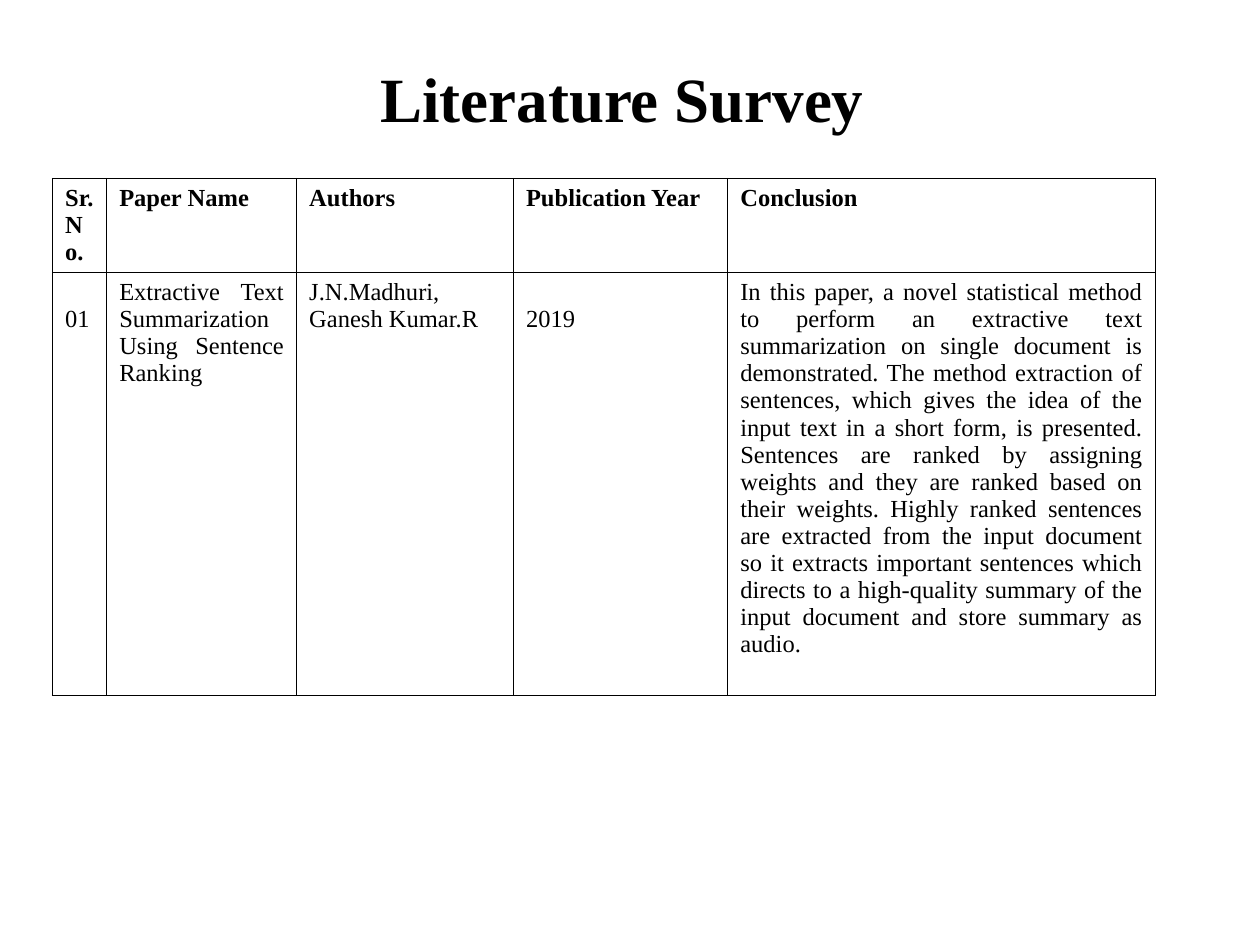
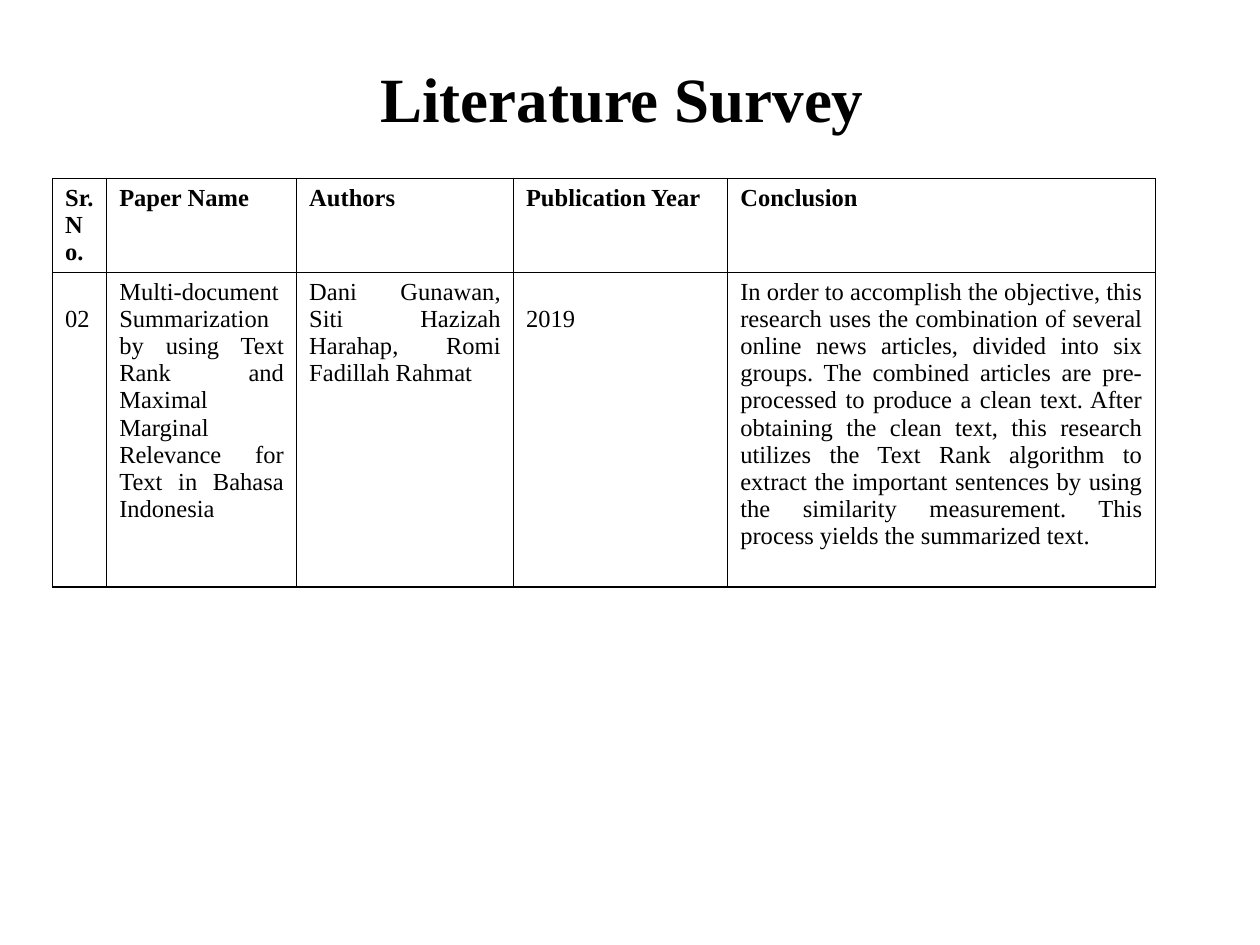
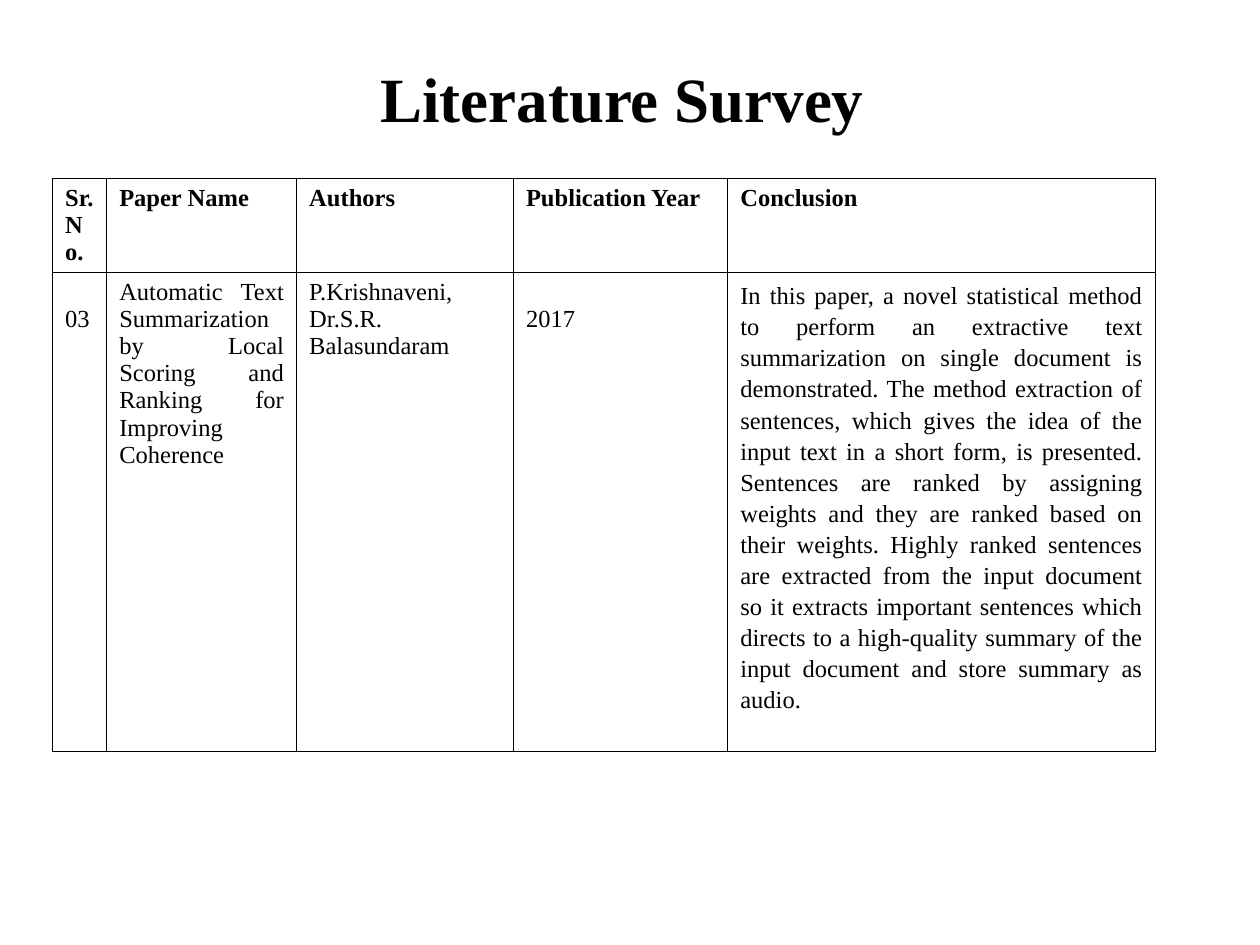
from dataclasses import dataclass

from lxml import etree
from pptx import Presentation
from pptx.dml.color import RGBColor
from pptx.enum.text import MSO_ANCHOR, PP_ALIGN
from pptx.oxml.ns import qn
from pptx.util import Cm, Pt

CENTER = PP_ALIGN.CENTER
JUSTIFY = PP_ALIGN.JUSTIFY
MIDDLE = MSO_ANCHOR.MIDDLE
TITLE_ONLY = 5


@dataclass(frozen=True)
class Theme:
    font: str = "Times New Roman"
    ink: str = "000000"
    title_size: int = 36
    table_size: int = 14
    border: int = 1


HEADERS = ["Sr. No.", "Paper Name", "Authors", "Publication Year", "Conclusion"]
COL_WIDTHS = [1.09, 3.83, 4.37, 4.32, 8.62]
HEADER_HEIGHT = 1.89
LOWERED_COLS = (0, 3)
LOWERED_MARGIN = 0.67
CONCLUSION_COL = 4

RANKING_CONCLUSION = (
    "In this paper, a novel statistical method to perform an extractive text "
    "summarization on single document is demonstrated. The method extraction of "
    "sentences, which gives the idea of the input text in a short form, is presented. "
    "Sentences are ranked by assigning weights and they are ranked based on their "
    "weights. Highly ranked sentences are extracted from the input document so it "
    "extracts important sentences which directs to a high-quality summary of the "
    "input document and store summary as audio."
)
NEWS_CONCLUSION = (
    "In order to accomplish the objective, this research uses the combination of "
    "several online news articles, divided into six groups. The combined articles are "
    "pre-processed to produce a clean text. After obtaining the clean text, this "
    "research utilizes the Text Rank algorithm to extract the important sentences by "
    "using the similarity measurement. This process yields the summarized text."
)

PAPERS = [
    {
        "cells": [
            "01",
            "Extractive Text Summarization Using Sentence Ranking",
            "J.N.Madhuri, Ganesh Kumar.R",
            "2019",
            RANKING_CONCLUSION,
        ],
        "height": 8.53,
        "spacing": None,
    },
    {
        "cells": [
            "02",
            "Multi-document Summarization by using Text Rank and Maximal Marginal "
            "Relevance for Text in Bahasa Indonesia",
            "Dani Gunawan, Siti Hazizah Harahap, Romi Fadillah Rahmat",
            "2019",
            NEWS_CONCLUSION,
        ],
        "height": 6.34,
        "spacing": None,
    },
    {
        "cells": [
            "03",
            "Automatic Text Summarization by Local Scoring and Ranking for "
            "Improving Coherence",
            "P.Krishnaveni, Dr.S.R.\nBalasundaram",
            "2017",
            RANKING_CONCLUSION,
        ],
        "height": 9.66,
        "spacing": 1.15,
    },
]


class Deck:
    def __init__(self, theme):
        self.theme = theme
        self.prs = Presentation()
        self.prs.slide_width = Cm(25.4)
        self.prs.slide_height = Cm(19.05)
        self.s = None

    def new_slide(self):
        self.s = self.prs.slides.add_slide(self.prs.slide_layouts[TITLE_ONLY])

    def text(self, tf, text, size, bold, align, spacing=None):
        tf.text = text
        font = {"name": self.theme.font, "size": Pt(size), "bold": bold}
        for p in tf.paragraphs:
            p.alignment = align
            p.line_spacing = spacing
            for r in p.runs:
                for name, value in font.items():
                    setattr(r.font, name, value)
                r.font.color.rgb = RGBColor.from_string(self.theme.ink)

    def title(self, text):
        sp = self.s.shapes.title
        box = {"left": 1.27, "top": 0.76, "width": 22.86, "height": 2.41}
        for name, value in box.items():
            setattr(sp, name, Cm(value))
        sp.text_frame.vertical_anchor = MIDDLE
        self.text(sp.text_frame, text, self.theme.title_size, True, CENTER)

    def borders(self, cell):
        tc_pr = cell._tc.get_or_add_tcPr()
        for i, side in enumerate(("a:lnL", "a:lnR", "a:lnT", "a:lnB")):
            ln = etree.Element(qn(side), w=str(Pt(self.theme.border)))
            fill = etree.SubElement(ln, qn("a:solidFill"))
            etree.SubElement(fill, qn("a:srgbClr"), val=self.theme.ink)
            tc_pr.insert(i, ln)

    def table(self, paper):
        heights = [HEADER_HEIGHT, paper["height"]]
        rows = [HEADERS, paper["cells"]]
        table = self.s.shapes.add_table(
            len(rows), len(HEADERS), Cm(1.06), Cm(3.6),
            Cm(sum(COL_WIDTHS)), Cm(sum(heights)),
        ).table
        table.first_row = table.horz_banding = False
        for col, width in zip(table.columns, COL_WIDTHS):
            col.width = Cm(width)
        for i, (texts, height) in enumerate(zip(rows, heights)):
            table.rows[i].height = Cm(height)
            for j, text in enumerate(texts):
                cell = table.cell(i, j)
                header = i == 0
                spacing = None
                if not header and j == CONCLUSION_COL:
                    spacing = paper["spacing"]
                if not header and j in LOWERED_COLS:
                    cell.margin_top = Cm(LOWERED_MARGIN)
                cell.fill.background()
                self.borders(cell)
                self.text(cell.text_frame, text, self.theme.table_size,
                          header, JUSTIFY, spacing)


def main():
    deck = Deck(Theme())
    for paper in PAPERS:
        deck.new_slide()
        deck.title("Literature Survey ")
        deck.table(paper)
    deck.prs.save("out.pptx")


if __name__ == "__main__":
    main()
